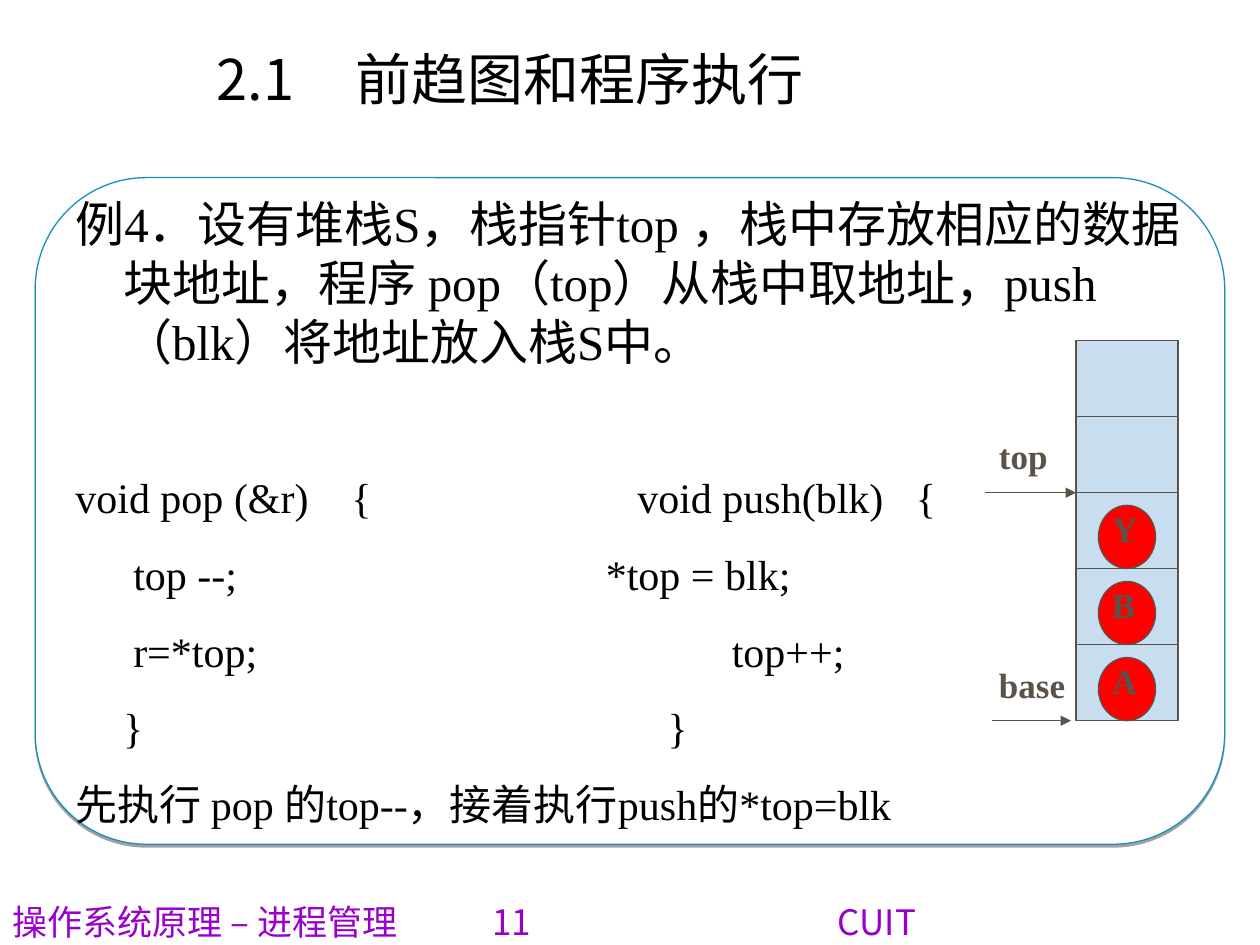
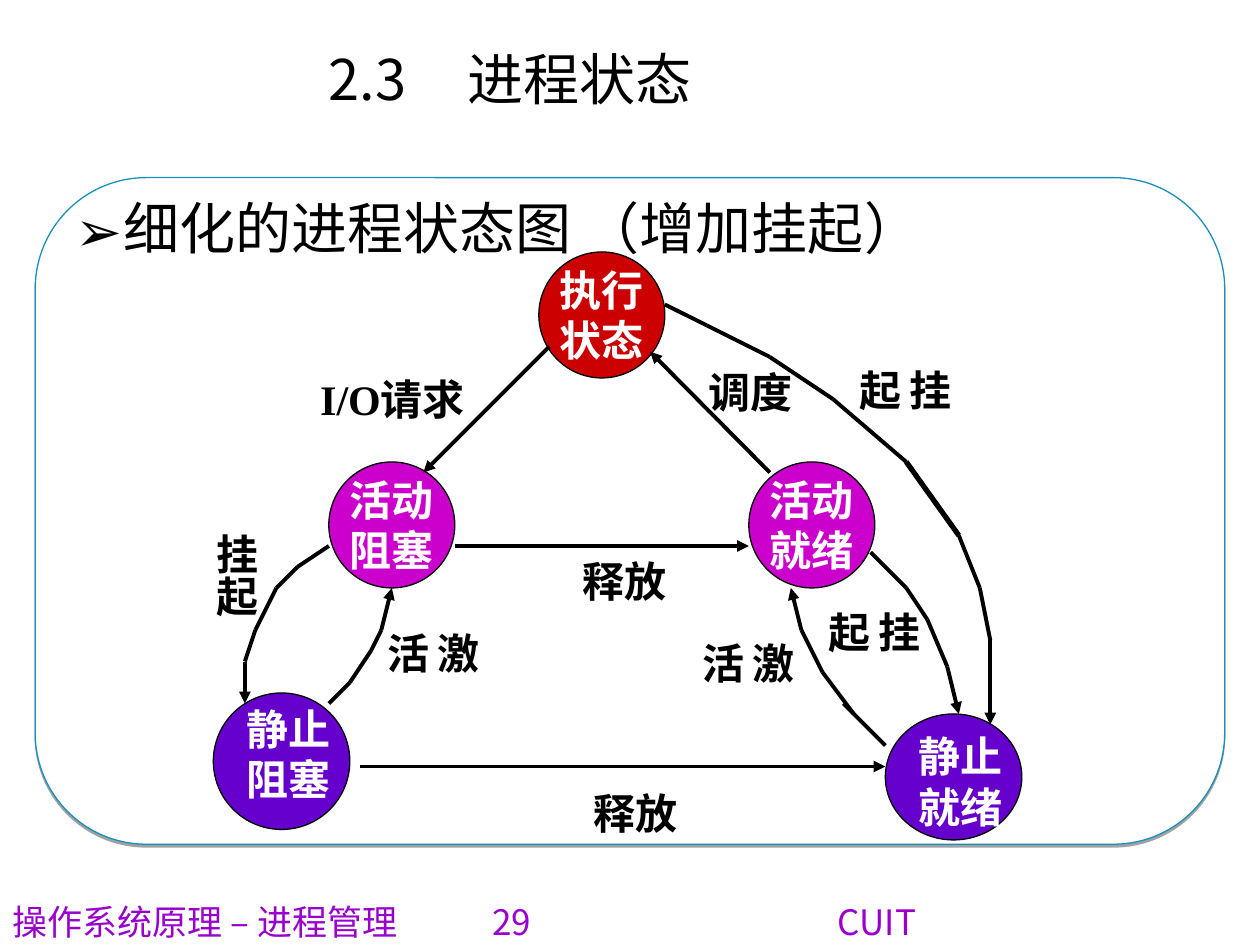
from dataclasses import dataclass, field
from itertools import pairwise
from typing import Any, NamedTuple

from lxml.etree import SubElement
from pptx import Presentation
from pptx.dml.color import RGBColor
from pptx.enum.shapes import MSO_CONNECTOR, MSO_SHAPE
from pptx.enum.text import MSO_ANCHOR, MSO_AUTO_SIZE, PP_ALIGN
from pptx.oxml.ns import qn
from pptx.util import Inches, Pt

BLACK = RGBColor(0x00, 0x00, 0x00)
WHITE = RGBColor(0xFF, 0xFF, 0xFF)
PANEL_EDGE = RGBColor(0x17, 0x90, 0xBB)
FOOTER_PURPLE = RGBColor(0x99, 0x00, 0xCC)
STACK_INK = RGBColor(0x5B, 0x52, 0x49)
STACK_CELL = RGBColor(0xC9, 0xDD, 0xF1)
STACK_ITEM = RGBColor(0xFF, 0x00, 0x00)
RUNNING = RGBColor(0xCC, 0x00, 0x00)
ACTIVE = RGBColor(0xCC, 0x00, 0xCC)
STATIC = RGBColor(0x66, 0x00, 0xCC)

SANS = "Noto Sans CJK SC"
SERIF = "Times New Roman"


class Box(NamedTuple):
    column: float
    row: float
    columns: float
    rows: float


class Grid(NamedTuple):
    left: float
    top: float
    column: float
    row: float

    def point(self, column: float, row: float) -> tuple[int, int]:
        return Inches(self.left + column * self.column), Inches(self.top + row * self.row)

    def area(self, box: Box) -> tuple[int, int, int, int]:
        size = Inches(box.columns * self.column), Inches(box.rows * self.row)
        return *self.point(box.column, box.row), *size


PAGE = Grid(0, 0, 0.1, 0.1)
STACK = Grid(8.54, 2.7, 0.81, 0.604)
DIAGRAM = Grid(0.11, 0, 1 / 6, 1 / 6)


@dataclass(frozen=True)
class Style:
    size: float
    name: str
    color: RGBColor
    bold: bool = False


TITLE = Style(32, SANS, BLACK)
FOOTER = Style(20, SANS, FOOTER_PURPLE)
QUESTION = Style(28, SERIF, BLACK)
CODE = Style(24, SERIF, BLACK)
STACK_LABEL = Style(20, SERIF, STACK_INK, True)
STATE_NAME = Style(24, SERIF, WHITE, True)
TRANSITION = Style(24, SERIF, BLACK, True)


@dataclass(frozen=True)
class Line:
    text: str
    style: Style
    tabs: tuple[float, ...] = ()
    hanging: float = 0
    bullet: str = ""
    layout: dict[str, Any] = field(default_factory=dict)


class Label(NamedTuple):
    text: str
    box: Box
    style: Style = TRANSITION
    vertical: bool = False


class State(NamedTuple):
    box: Box
    fill: RGBColor
    names: tuple[str, ...] = ()


class Route(NamedTuple):
    points: tuple[tuple[float, float], ...]
    arrow: bool = True
    width: float = 2.25


LABELS = (
    Label("静止\n就绪", Box(42.5, 34.5, 5.5, 5.4), STATE_NAME),
    Label("静止\n阻塞", Box(10.5, 33.2, 5.2, 5.4), STATE_NAME),
    Label("调度", Box(32.5, 17.15, 5.2, 3)),
    Label("释放", Box(26.5, 26.15, 5.2, 3)),
    Label("I/O请求", Box(14, 17.5, 8.5, 5.4)),
    Label("释放", Box(27, 37.2, 5.2, 3)),
    Label("激活", Box(34, 30, 3.6, 4.6), vertical=True),
    Label("激活", Box(19, 29.5, 3.6, 4.6), vertical=True),
    Label("挂起", Box(40, 28.5, 3.6, 4.6), vertical=True),
    Label("挂起", Box(8.5, 24.8, 3.6, 6.4), vertical=True),
    Label("挂起", Box(41.5, 17, 3.6, 4.6), vertical=True),
)

STATES = (
    State(Box(15, 22, 6, 6), ACTIVE, ("活动", "阻塞")),
    State(Box(25, 12, 6, 6), RUNNING, ("执行", "状态")),
    State(Box(35, 22, 6, 6), ACTIVE, ("活动", "就绪")),
    State(Box(9.5, 33, 6.5, 6.5), STATIC),
    State(Box(41.5, 34, 6.5, 6), STATIC),
)

ROUTES = (
    Route(((36, 22.5), (30.3, 16.75))),
    Route(((21, 26), (35, 26))),
    Route(((25.5, 16.5), (19.5, 22.5))),
    Route(((16.5, 36.5), (41.5, 36.5))),
    Route(((15, 26), (13.5, 27), (12.5, 28), (11.5, 30), (11, 31.5), (11, 33.5))),
    Route(((15, 33.5), (16, 32.5), (17, 31), (17.5, 30), (18, 28))),
    Route(((41.5, 35.5), (39.5, 33.5)), arrow=False),
    Route(((40, 34), (38.5, 32), (37.5, 30), (37, 28))),
    Route(((40.8, 26.3), (42.5, 28), (43.5, 29.5), (44.45, 31.75), (45, 34))),
    Route(((31, 14.5), (33, 15.5), (36, 17), (39, 19), (42.5, 22)), arrow=False),
    Route(((42.5, 22), (45, 25.5)), arrow=False, width=3),
    Route(((45, 25.5), (46, 28), (46.5, 30.5), (46.5, 34.5))),
)


def apply_format(target: Any, values: dict[str, Any]) -> None:
    for name, value in values.items():
        setattr(target, name, value)


def write_lines(text_frame: Any, lines: list[Line]) -> None:
    for index, line in enumerate(lines):
        paragraph = text_frame.add_paragraph() if index else text_frame.paragraphs[0]
        properties = paragraph._p.get_or_add_pPr()
        if line.hanging:
            properties.set("marL", str(Inches(line.hanging)))
            properties.set("indent", str(-Inches(line.hanging)))
        if line.bullet:
            SubElement(properties, qn("a:buFont"), typeface=SANS)
            SubElement(properties, qn("a:buChar"), char=line.bullet)
        if line.tabs:
            tab_list = SubElement(properties, qn("a:tabLst"))
            for tab in line.tabs:
                SubElement(tab_list, qn("a:tab"), pos=str(Inches(tab)), algn="l")
        apply_format(paragraph, line.layout)
        run = paragraph.add_run()
        run.text = line.text
        style = line.style
        apply_format(run.font, {"size": Pt(style.size), "name": style.name, "bold": style.bold})
        run.font.color.rgb = style.color
        SubElement(run._r.get_or_add_rPr(), qn("a:ea"), typeface=SANS)


def add_text(slide: Any, grid: Grid, box: Box, lines: list[Line]) -> Any:
    shape = slide.shapes.add_textbox(*grid.area(box))
    shape.text_frame.word_wrap = True
    write_lines(shape.text_frame, lines)
    return shape


def add_label(slide: Any, grid: Grid, label: Label) -> None:
    lines = [Line(text, label.style) for text in label.text.split("\n")]
    text_frame = add_text(slide, grid, label.box, lines).text_frame
    text_frame.auto_size = MSO_AUTO_SIZE.SHAPE_TO_FIT_TEXT
    if label.vertical:
        text_frame._txBody.bodyPr.set("vert", "eaVert")
        narrow, wide = Inches(0.05), Inches(0.1)
        apply_format(text_frame, {"margin_left": narrow, "margin_right": narrow,
                                  "margin_top": wide, "margin_bottom": wide})


def add_shape(slide: Any, kind: MSO_SHAPE, grid: Grid, box: Box,
              fill: RGBColor, edge: RGBColor) -> Any:
    shape = slide.shapes.add_shape(kind, *grid.area(box))
    shape.shadow.inherit = False
    shape.fill.solid()
    shape.fill.fore_color.rgb = fill
    shape.line.color.rgb = edge
    shape.line.width = Pt(0.75)
    return shape


def add_route(slide: Any, grid: Grid, route: Route, color: RGBColor) -> None:
    for start, end in pairwise(route.points):
        connector = slide.shapes.add_connector(
            MSO_CONNECTOR.STRAIGHT, *grid.point(*start), *grid.point(*end))
        connector.line.color.rgb = color
        connector.line.width = Pt(route.width)
        if route.arrow and end == route.points[-1]:
            SubElement(connector.line._get_or_add_ln(), qn("a:tailEnd"), type="triangle")
        SubElement(connector._element.spPr, qn("a:effectLst"))


def add_page(presentation: Any, number: int, title: str, body: list[Line]) -> Any:
    slide = presentation.slides.add_slide(presentation.slide_layouts[6])
    panel = add_shape(slide, MSO_SHAPE.ROUNDED_RECTANGLE, PAGE,
                      Box(2.8, 14.1, 94.4, 52.9), WHITE, PANEL_EDGE)
    effects = panel._element.spPr.find(qn("a:effectLst"))
    shadow = SubElement(effects, qn("a:outerShdw"), dist=str(Pt(1.6)), dir="5400000", rotWithShape="0")
    shadow_color = SubElement(shadow, qn("a:srgbClr"), val=str(BLACK))
    SubElement(shadow_color, qn("a:alpha"), val="37000")
    footer = f"操作系统原理 – 进程管理\t{number}\tCUIT"
    add_text(slide, PAGE, Box(0, 71, 100, 4), [Line(footer, FOOTER, tabs=(3.81, 6.55))])
    add_text(slide, PAGE, Box(5, 14.9, 90, 52), body)
    add_text(slide, PAGE, Box(5, 3, 71, 12.5),
             [Line(title, TITLE, tabs=(1,), layout={"alignment": PP_ALIGN.CENTER})])
    return slide


def build_stack_slide(presentation: Any) -> None:
    spaced = {"space_before": Pt(15)}
    question = ("例4．设有堆栈S，栈指针top ，栈中存放相应的数据块地址，程序 pop（top）"
                "从栈中取地址，push（blk）将地址放入栈S中。")
    slide = add_page(presentation, 11, "2.1\t 前趋图和程序执行", [
        Line(question, QUESTION, hanging=0.38),
        Line("void pop (&r)\t{\tvoid push(blk)\t{", CODE, (2.19, 4.46, 6.67),
             layout={"space_before": Pt(58)}),
        Line("\ttop --;\t*top = blk;", CODE, (0.46, 4.21), layout=spaced),
        Line("\tr=*top;\ttop++;", CODE, (0.46, 5.21), layout=spaced),
        Line("\t}\t}", CODE, (0.38, 4.7), layout=spaced),
        Line("先执行 pop 的top--，接着执行push的*top=blk", CODE, layout=spaced),
    ])
    for row in range(5):
        add_shape(slide, MSO_SHAPE.RECTANGLE, STACK, Box(0, row, 1, 1), STACK_CELL, STACK_INK)
    for row, item in enumerate("YBA", start=2):
        add_shape(slide, MSO_SHAPE.OVAL, STACK, Box(0.22, row + 0.17, 0.56, 0.83),
                  STACK_ITEM, STACK_INK)
        add_label(slide, STACK, Label(item, Box(0.23, row + 0.12, 0.55, 0.73), STACK_LABEL))
    pointers = (
        ("top", Box(78.3, 34, 7, 4.4), ((78.2, 39.1), (85.4, 39.1))),
        ("base", Box(78.3, 52.2, 8.5, 4.4), ((78.7, 57.2), (85, 57.2))),
    )
    for name, box, points in pointers:
        add_label(slide, PAGE, Label(name, box, STACK_LABEL))
        add_route(slide, PAGE, Route(points, width=0.75), STACK_INK)


def build_state_slide(presentation: Any) -> None:
    slide = add_page(presentation, 29, "2.3\t 进程状态", [
        Line("细化的进程状态图 （增加挂起）", TITLE, hanging=0.38, bullet="➢"),
    ])
    for state in STATES:
        circle = add_shape(slide, MSO_SHAPE.OVAL, DIAGRAM, state.box, state.fill, BLACK)
        if state.names:
            apply_format(circle.text_frame,
                         {"word_wrap": False, "vertical_anchor": MSO_ANCHOR.MIDDLE})
            write_lines(circle.text_frame, [
                Line(name, STATE_NAME, layout={"alignment": PP_ALIGN.CENTER})
                for name in state.names])
    for route in ROUTES:
        add_route(slide, DIAGRAM, route, BLACK)
    for label in LABELS:
        add_label(slide, DIAGRAM, label)


def main() -> None:
    presentation = Presentation()
    presentation.slide_width = Inches(10)
    presentation.slide_height = Inches(7.5)
    build_stack_slide(presentation)
    build_state_slide(presentation)
    presentation.save("out.pptx")


if __name__ == "__main__":
    main()
